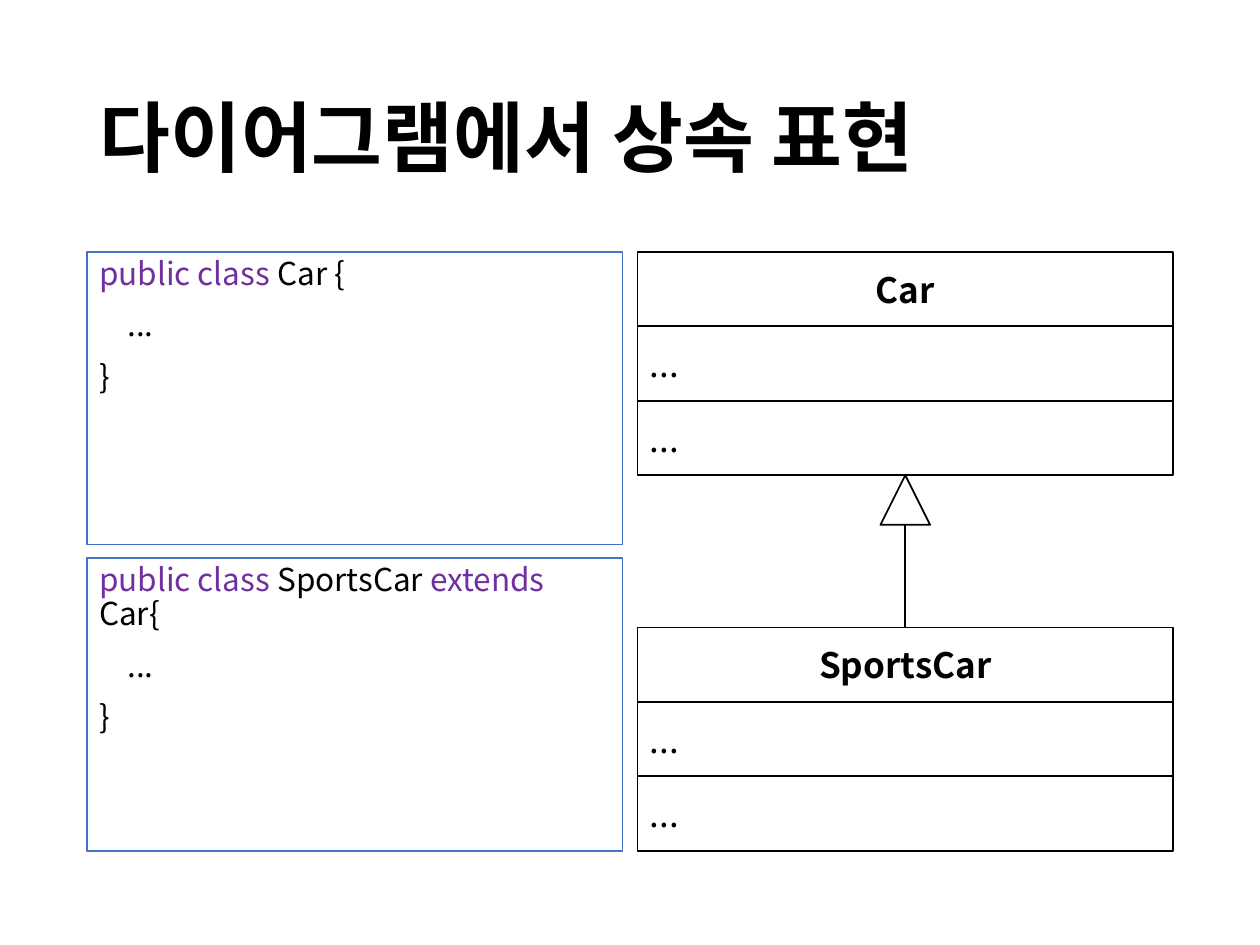
from lxml import etree
from pptx import Presentation
from pptx.dml.color import RGBColor
from pptx.enum.shapes import MSO_CONNECTOR, MSO_SHAPE
from pptx.enum.text import MSO_ANCHOR, MSO_AUTO_SIZE, PP_ALIGN
from pptx.oxml.ns import qn
from pptx.util import Cm, Pt

RECT, TRI = MSO_SHAPE.RECTANGLE, MSO_SHAPE.ISOSCELES_TRIANGLE
LINE = MSO_CONNECTOR.STRAIGHT
TOP, MID = MSO_ANCHOR.TOP, MSO_ANCHOR.MIDDLE
LEFT, MIDDLE = PP_ALIGN.LEFT, PP_ALIGN.CENTER
FONT = "Noto Sans CJK KR"
HUES = {"ink": "000000", "key": "7030A0", "edge": "4472C4", "paper": "FFFFFF"}
INK = {name: RGBColor.from_string(code) for name, code in HUES.items()}


def add_run(para, text, size, hue="ink", bold=False):
    run = para.add_run()
    run.text = text
    font = run.font
    font.size, font.bold, font.name = Pt(size), bold, FONT
    font.color.rgb = INK[hue]
    etree.SubElement(font._element, qn("a:ea"), typeface=FONT)


def add_box(kind, x, y, w, h, edge="ink", anchor=MID):
    box = slide.shapes.add_shape(kind, Cm(x), Cm(y), Cm(w), Cm(h))
    box.shadow.inherit = False
    box.fill.background()
    box.line.color.rgb = INK[edge]
    box.line.width = Pt(1)
    box.text_frame.word_wrap = True
    box.text_frame.vertical_anchor = anchor
    return box


deck = Presentation()
deck.slide_width, deck.slide_height = Cm(25.4), Cm(19.05)
slide = deck.slides.add_slide(deck.slide_layouts[5])

title = slide.shapes.title
title.left, title.top, title.width, title.height = Cm(1.75), Cm(1.01), Cm(21.9), Cm(3.68)
frame = title.text_frame
frame.auto_size = MSO_AUTO_SIZE.NONE
frame.word_wrap = True
frame.vertical_anchor = MID
para = frame.paragraphs[0]
para.alignment = LEFT
para.line_spacing = 0.9
add_run(para, "다이어그램에서 상속 표현", 44, bold=True)

codes = [
    (5.08, [("public class", "key"), (" Car {", "ink")]),
    (11.25, [("public class ", "key"), ("SportsCar ", "ink"),
             ("extends", "key"), (" Car{", "ink")]),
]
for y, head in codes:
    frame = add_box(RECT, 1.75, y, 10.8, 5.9, "edge", TOP).text_frame
    for row, parts in enumerate([head, [("...", "ink")], [("}", "ink")]]):
        para = frame.paragraphs[0] if row == 0 else frame.add_paragraph()
        para.alignment = LEFT
        para.line_spacing = 0.9
        para.space_before = Pt(10)
        if row == 1:
            para._p.get_or_add_pPr().set("marL", str(Cm(0.57)))
        for text, hue in parts:
            add_run(para, text, 18, hue)

left, wide, tall = 12.85, 10.8, 1.5
for name, y in [("Car", 5.08), ("SportsCar", 12.65)]:
    for row, text in enumerate([name, "...", "..."]):
        cell = add_box(RECT, left, y + row * tall, wide, tall)
        para = cell.text_frame.paragraphs[0]
        para.alignment = MIDDLE if row == 0 else LEFT
        add_run(para, text, 20, bold=row == 0)

mid, base, tip = left + wide / 2, 12.65, 5.08 + 3 * tall
link = slide.shapes.add_connector(LINE, Cm(mid), Cm(base), Cm(mid), Cm(tip))
link.line.color.rgb = INK["ink"]
link.line.width = Pt(1)
etree.SubElement(link._element.spPr, qn("a:effectLst"))

side = 1
arrow = add_box(TRI, mid - side / 2, tip, side, side)
arrow.fill.solid()
arrow.fill.fore_color.rgb = INK["paper"]

deck.save("out.pptx")
